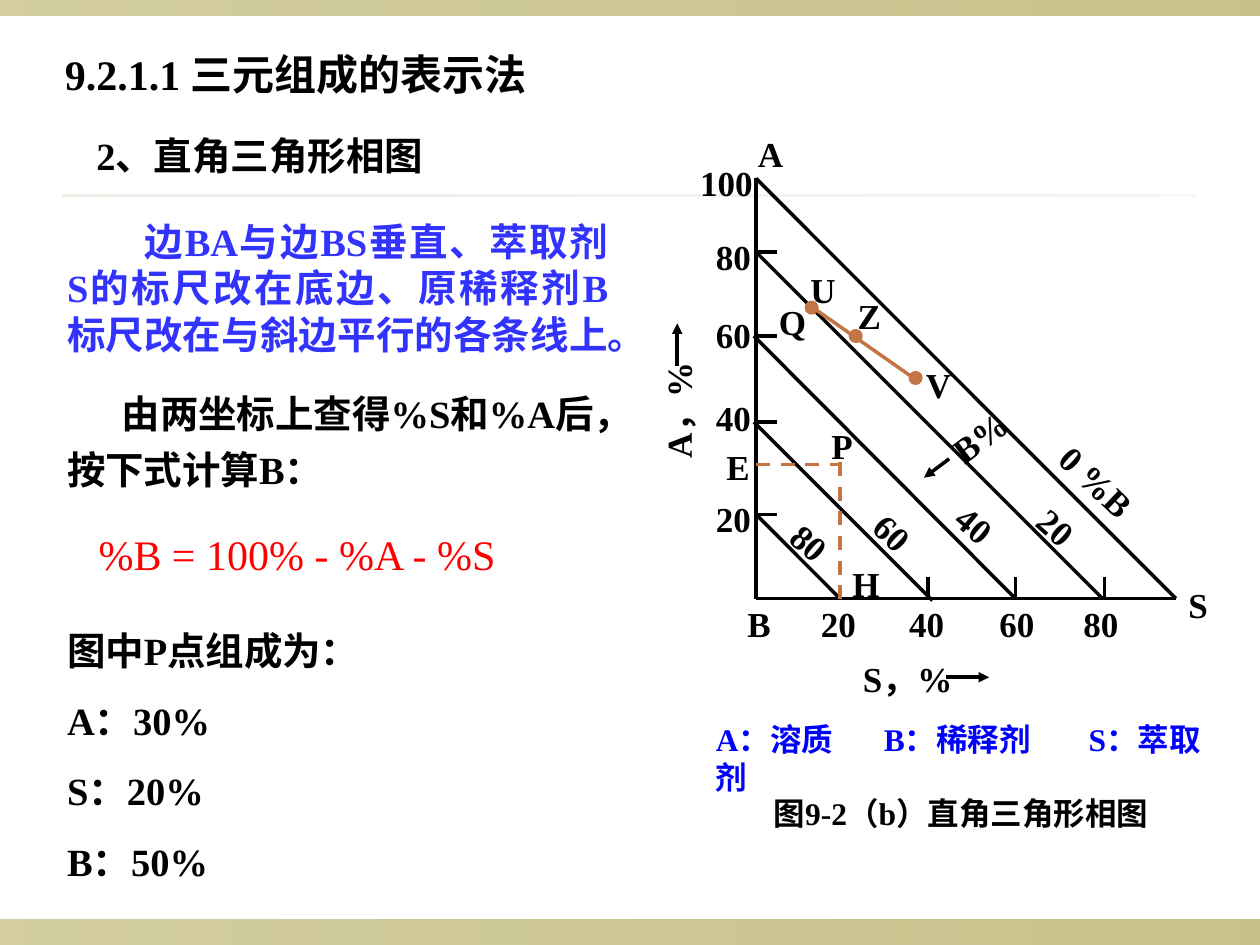
from dataclasses import dataclass

from lxml.etree import SubElement
from pptx import Presentation
from pptx.dml.color import RGBColor as Rgb
from pptx.enum.dml import MSO_LINE as Dash
from pptx.enum.shapes import MSO_CONNECTOR as Link, MSO_SHAPE as Form
from pptx.enum.text import MSO_AUTO_SIZE as Fit, PP_ALIGN as Align
from pptx.oxml.ns import qn
from pptx.util import Emu, Inches, Pt

CELL = Inches(1) / 12  # the slide is 120 columns by 90 rows


@dataclass(frozen=True)
class Theme:
    font: str = "Times New Roman"
    ink: str = "000000"
    blue: str = "3333FF"
    key: str = "0000FF"
    red: str = "FF0000"
    mark: str = "C47546"
    band: str = "918415"
    rule: str = "DCD9CC"
    head: int = 24
    body: int = 22
    label: int = 20
    note: int = 18
    stroke: int = 2


def grid(*cells):
    return [Emu(round(n * CELL)) for n in cells]


def write(par, text, theme, size=None, color=None, bold=True, before=0,
          lead=None, align=None, first=0, left=0, tabs=()):
    """Fill a paragraph; first, left and tabs are in columns."""
    props = par._p.get_or_add_pPr()
    for name, cols in (("indent", first), ("marL", left)):
        if cols:
            props.set(name, str(grid(cols)[0]))
    if tabs:
        stops = SubElement(props, qn("a:tabLst"))
        for pos in grid(*tabs):
            SubElement(stops, qn("a:tab"), pos=str(pos), algn="l")
    if before:
        par.space_before = Pt(before)
    if lead:
        par.line_spacing = lead
    if align is not None:
        par.alignment = align
    run = par.add_run()
    run.text = text
    font = run.font
    font.name, font.size, font.bold = theme.font, Pt(size or theme.label), bold
    font.color.rgb = Rgb.from_string(color or theme.ink)


class Board:
    def __init__(self, slide, theme):
        self.shapes, self.theme = slide.shapes, theme

    def bar(self, x, y, w, h, color, alphas):
        """Draw a band that fades from left to right."""
        shape = self.shapes.add_shape(Form.RECTANGLE, *grid(x, y, w, h))
        shape.shadow.inherit = False
        shape.line.fill.background()
        shape.fill.gradient()
        shape.fill.gradient_angle = 0
        for stop in shape.fill.gradient_stops:
            stop.color.rgb = Rgb.from_string(color)
        tints = shape.element.spPr.iter(qn("a:srgbClr"))
        for tint, alpha in zip(tints, alphas):
            SubElement(tint, qn("a:alpha"), val=str(alpha * 1000))

    def text(self, x, y, w, h, *pars, turn=0, wrap=True):
        """Add a box; each paragraph is a pair of text and format."""
        box = self.shapes.add_textbox(*grid(x, y, w, h))
        box.rotation = turn
        frame = box.text_frame
        frame.word_wrap = wrap
        frame.auto_size = Fit.SHAPE_TO_FIT_TEXT
        for i, (words, style) in enumerate(pars):
            par = frame.add_paragraph() if i else frame.paragraphs[0]
            write(par, words, self.theme, **style)

    def label(self, words, x, y, w=10, turn=0, **style):
        self.text(x, y, w, 5.25, (words, style), turn=turn)

    def line(self, x1, y1, x2, y2, color=None, dash=False, arrow=False):
        link = self.shapes.add_connector(Link.STRAIGHT, *grid(x1, y1, x2, y2))
        link.line.color.rgb = Rgb.from_string(color or self.theme.ink)
        link.line.width = Pt(self.theme.stroke)
        if dash:
            link.line.dash_style = Dash.DASH
        props = link.element.spPr
        if arrow:
            SubElement(props.find(qn("a:ln")), qn("a:tailEnd"), type="triangle")
        SubElement(props, qn("a:effectLst"))

    def dot(self, x, y):
        shape = self.shapes.add_shape(Form.OVAL, *grid(x - .5, y - .5, 1, 1))
        shape.shadow.inherit = False
        shape.fill.solid()
        shape.fill.fore_color.rgb = Rgb.from_string(self.theme.mark)
        shape.line.color.rgb = Rgb.from_string(self.theme.mark)
        shape.line.width = Pt(self.theme.stroke)


def frame(board):
    look = board.theme
    board.bar(0, 87.6, 120, 2.4, look.band, (40, 50))
    board.bar(0, 0, 120, 1.44, look.band, (40, 50))
    board.bar(6, 18.48, 108, .24, look.rule, (50, 20))


def chart(board):
    """Draw the right triangle with B at its right angle."""
    look = board.theme
    left, base, side = 72, 57, 40
    top, right = base - side, left + side
    board.line(left, base, right, base)
    board.line(left, base, left, top)
    board.line(left, top, right, base)
    for x1, y1, x2, y2 in ((72, 24, 105, 57), (71.8, 32, 96.7, 57),
                           (71.8, 40.2, 88.8, 57.2), (72, 49, 80, 57)):
        board.line(x1, y1, x2, y2)
    board.line(left, 44.25, 80, 44.25, look.mark, dash=True)
    board.line(80, 44, 80, base, look.mark, dash=True)
    board.line(77, 29, 87, 36, look.mark)

    for y in (24, 32, 40.2, 49):
        board.line(left, y, left + 2, y)
    for x in (88.4, 96.7, 105.2):
        board.line(x, base, x, base - 2)
    for words, y in (("20", 46.8), ("40", 37.2), ("60", 29.3), ("80", 21.8)):
        board.label(words, 67, y)
    for words, x in (("B", 70), ("20", 77), ("40", 85.4),
                     ("60", 94), ("80", 102)):
        board.label(words, x, 56.8)
    for words, x, y in (("100", 65.5, 14.8), ("A", 71, 12), ("S", 112, 55),
                        ("P", 78, 39.8), ("H", 80, 53), ("Q", 73, 28),
                        ("U", 76, 25), ("V", 87, 34), ("Z", 80.5, 27.5),
                        ("E", 68, 41.8)):
        board.label(words, x, y)
    for x, y in ((81.5, 32), (87.2, 36), (77.3, 29.3)):
        board.dot(x, y)

    for words, x, y, turn in (("20", 96.7, 50.3, 41.5), ("40", 89, 50, 40),
                              ("60", 81, 51, 43.7), ("80", 73.2, 51.8, 41.5)):
        board.label(words, x, y, w=14, turn=turn)
    board.label("0 %B", 99, 43.8, w=12, turn=43.6)
    board.label("B%", 83, 40, w=18, turn=322.8, left=6.67)
    board.label("A，%", 54.1, 31.7, w=21, turn=270)
    board.label("S，%", 81, 62, w=21)
    for ends in ((64.5, 34.9, 64.5, 30.8), (90.1, 64.5, 94.2, 64.5),
                 (90.4, 43.7, 88, 45.5)):
        board.line(*ends, arrow=True)

    board.text(67, 68, 50, 8.4, ("A：溶质\tB：稀释剂\tS：萃取剂", dict(
        size=look.note, color=look.key, tabs=(16, 35.5))))
    board.text(72.5, 75, 40.9, 4.8, (
        "图9-2（b）直角三角形相图", dict(size=look.note)), wrap=False)


def prose(board):
    look = board.theme
    item = dict(size=look.body, before=13.8)
    board.text(5, 4, 73, 6, ("9.2.1.1 三元组成的表示法", dict(size=look.head)))
    board.text(8, 12, 45, 5.6, ("2、直角三角形相图", dict(size=look.body)))
    board.text(
        5.2, 20.2, 53.9, 69,
        ("边BA与边BS垂直、萃取剂S的标尺改在底边、"
         "原稀释剂B标尺改在与斜边平行的各条线上。",
         dict(size=look.body, color=look.blue, first=7.4, align=Align.JUSTIFY)),
        ("由两坐标上查得%S和%A后，按下式计算B：",
         dict(item, first=5.2, lead=1.2)),
        ("%B = 100% - %A - %S",
         dict(size=look.head, color=look.red, bold=False, before=15,
              first=3, lead=1.2)),
        ("图中P点组成为：", dict(item, before=27.5)),
        *((words, item) for words in ("A：30%", "S：20%", "B：50%")))


def main():
    deck = Presentation()
    deck.slide_width, deck.slide_height = grid(120, 90)
    board = Board(deck.slides.add_slide(deck.slide_layouts[6]), Theme())
    for draw in (frame, chart, prose):
        draw(board)
    deck.save("out.pptx")


if __name__ == "__main__":
    main()
